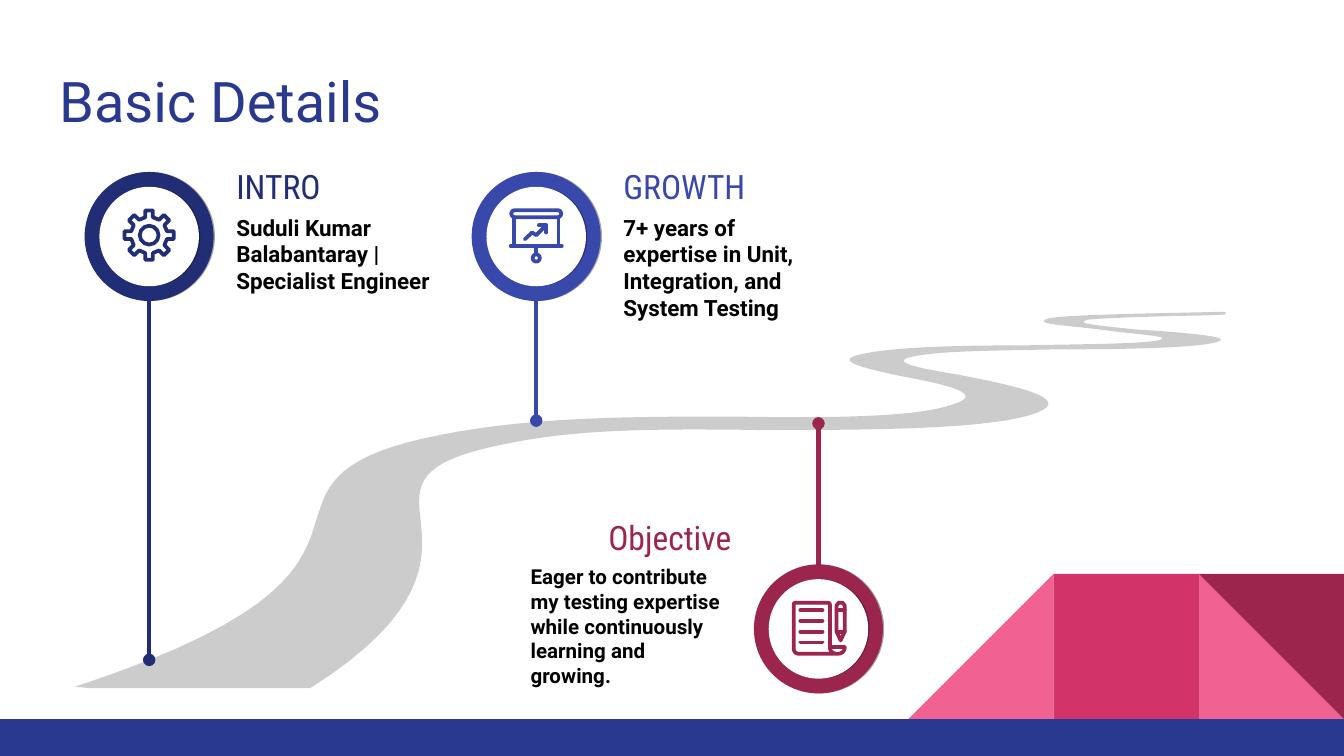
from collections import namedtuple
from math import cos, radians, sin

from lxml import etree
from pptx import Presentation
from pptx.dml.color import RGBColor
from pptx.enum.shapes import MSO_CONNECTOR, MSO_SHAPE
from pptx.enum.text import MSO_ANCHOR, PP_ALIGN
from pptx.oxml.ns import qn
from pptx.util import Inches, Pt

STRAIGHT = MSO_CONNECTOR.STRAIGHT
RECT, ROUND_RECT = MSO_SHAPE.RECTANGLE, MSO_SHAPE.ROUNDED_RECTANGLE
OVAL, TRIANGLE = MSO_SHAPE.OVAL, MSO_SHAPE.RIGHT_TRIANGLE
TOP, MIDDLE = MSO_ANCHOR.TOP, MSO_ANCHOR.MIDDLE
LEFT, RIGHT = PP_ALIGN.LEFT, PP_ALIGN.RIGHT

WHITE = RGBColor(0xFF, 0xFF, 0xFF)
BLACK = RGBColor(0x00, 0x00, 0x00)
GREY = RGBColor(0xCC, 0xCC, 0xCC)
BLUE = RGBColor(0x2A, 0x39, 0x90)
NAVY = RGBColor(0x21, 0x2D, 0x74)
INDIGO = RGBColor(0x39, 0x49, 0xAB)
WINE = RGBColor(0x9C, 0x25, 0x4D)
ROSE = RGBColor(0xD2, 0x33, 0x69)
PINK = RGBColor(0xF0, 0x62, 0x92)

COLUMNS, ROWS = 1000, 562.5
CELL = Inches(10) / COLUMNS
RING, RIM, STROKE = 96, 11, 2
Box = namedtuple("Box", "left top width height")

ROAD = [
    (753, 6), (759, 5, 788, 4, 822, 3), (828, 3, 841, 3, 856, 2), (856, 0),
    (817, 1, 735, 2, 724, 5), (712, 9, 735, 10, 761, 13),
    (788, 17, 817, 18, 807, 21), (796, 24, 753, 24, 707, 25),
    (662, 25, 612, 26, 588, 31), (560, 36, 587, 42, 615, 48),
    (647, 54, 679, 61, 653, 69), (624, 79, 560, 79, 488, 78),
    (418, 78, 342, 78, 275, 91), (195, 106, 188, 128, 180, 153),
    (170, 187, 158, 227, 0, 279), (10, 280), (175, 280),
    (264, 224, 260, 182, 257, 155), (254, 129, 253, 112, 317, 99),
    (372, 87, 433, 87, 508, 88), (588, 88, 683, 88, 716, 75),
    (744, 64, 694, 54, 658, 47), (627, 42, 603, 37, 625, 33),
    (646, 29, 683, 29, 730, 28), (780, 28, 839, 27, 851, 22),
    (861, 18, 818, 15, 787, 13), (760, 10, 744, 9, 753, 6),
]
SHEET = [
    (8.5, 13.5), (8.5, -17.5), (8.5, -19, 8, -19.5, 6.5, -19.5), (-16.5, -19.5),
    (-18, -19.5, -18.5, -19, -18.5, -17.5), (-18.5, 14),
    (-18.5, 17, -17, 18.5, -14, 18.5), (14, 18.5),
    (17, 18.5, 19.5, 17, 19.5, 13.5), (8.5, 13.5), (8.5, 16, 10, 18.5, 14, 18.5),
]
PENCIL = [(13.5, -17.5), (15, -19.5), (18, -19.5), (19.5, -17.5), (19.5, 2),
          (16.5, 8.5), (13.5, 2), (13.5, -17.5)]


def to_emu(*cells):
    """Turn grid cells into slide lengths."""
    return [round(cell * CELL) for cell in cells]


def style_line(shape, color, width):
    """Give a shape or connector a round-ended line."""
    shape.line.color.rgb = color
    shape.line.width = Pt(width)
    line = shape.element.spPr.find(qn("a:ln"))
    line.set("cap", "rnd")
    etree.SubElement(line, qn("a:round"))
    return line


def paint(shape, fill, stroke):
    """Make a shape flat, either filled or only outlined."""
    shape.shadow.inherit = False
    if fill is None:
        shape.fill.background()
        style_line(shape, stroke, STROKE)
    else:
        shape.fill.solid()
        shape.fill.fore_color.rgb = fill
        shape.line.fill.background()
    return shape


def add_preset(page, kind, box, fill=None, stroke=None):
    """Place a preset shape on the grid."""
    return paint(page.shapes.add_shape(kind, *to_emu(*box)), fill, stroke)


def add_line(page, start, end, color, width=STROKE):
    """Draw a straight line without shadow and return its line element."""
    line = page.shapes.add_connector(STRAIGHT, *to_emu(*start, *end))
    element = style_line(line, color, width)
    etree.SubElement(line.element.spPr, qn("a:effectLst"))
    return element


def trace(segments, steps=16):
    """Turn points and cubic curves into a list of points."""
    points = [segments[0]]
    for segment in segments[1:]:
        if len(segment) == 2:
            points.append(segment)
            continue
        curve = [points[-1], segment[:2], segment[2:4], segment[4:]]
        for step in range(1, steps + 1):
            t = step / steps
            weights = ((1 - t) ** 3, 3 * t * (1 - t) ** 2, 3 * t * t * (1 - t), t ** 3)
            points.append(tuple(sum(weight * point[axis] for weight, point in zip(weights, curve))
                                for axis in (0, 1)))
    return points


def add_outline(page, origin, segments, fill=None, stroke=None, close=False):
    """Draw a freeform measured from an origin on the grid."""
    points = [to_emu(origin[0] + x, origin[1] + y) for x, y in trace(segments)]
    builder = page.shapes.build_freeform(*points[0], scale=1)
    builder.add_line_segments(points[1:], close=close)
    paint(builder.convert_to_shape(), fill, stroke)


def fill_text(shape, text, size, font, color, bold=False, align=LEFT, anchor=TOP, spacing=1.0):
    """Write one paragraph and set its format."""
    frame = shape.text_frame
    margins = dict.fromkeys(("margin_left", "margin_top", "margin_right", "margin_bottom"), Inches(0.1))
    para = frame.paragraphs[0]
    span = para.add_run()
    span.text = text
    span.font.color.rgb = color
    formats = [
        (frame, {"word_wrap": True, "vertical_anchor": anchor, **margins}),
        (para, {"alignment": align, "line_spacing": spacing}),
        (span.font, {"name": font, "size": Pt(size), "bold": bold}),
    ]
    for target, values in formats:
        for name, value in values.items():
            setattr(target, name, value)


def add_title(page, box, text):
    """Move and format the title placeholder."""
    title = page.shapes.title
    title.left, title.top, title.width, title.height = to_emu(*box)
    fill_text(title, text, 30, "Roboto", BLUE, anchor=MIDDLE, spacing=0.9)


def add_decoration(page, box):
    """Draw the folded paper corner above the footer band."""
    side = box.width / 3
    tiles = [Box(box.left + side * column, box.top, side, side) for column in range(3)]
    add_preset(page, TRIANGLE, tiles[2], PINK)
    add_preset(page, TRIANGLE, tiles[0], PINK).element.spPr.xfrm.set("flipH", "1")
    add_preset(page, RECT, tiles[1], ROSE)
    add_preset(page, TRIANGLE, tiles[2], WINE).rotation = 180
    bottom = box.top + side
    add_preset(page, RECT, Box(0, bottom, COLUMNS, ROWS - bottom), BLUE)


def draw_gear(page, x, y, color):
    """Draw a gear with eight teeth round a point."""
    tooth = ((13.6, -12), (18.6, -8.7), (18.6, 8.7), (13.6, 12))
    points = [(radius * cos(radians(45 * turn + angle)), radius * sin(radians(45 * turn + angle)))
              for turn in range(8) for radius, angle in tooth]
    add_outline(page, (x, y - 1), points, stroke=color, close=True)
    add_preset(page, OVAL, Box(x - 7, y - 8, 14, 14), stroke=color)


def draw_board(page, x, y, color):
    """Draw a presentation board with a rising arrow round a point."""
    bar = add_preset(page, ROUND_RECT, Box(x - 18.6, y - 19.6, 37.2, 5.2), stroke=color)
    bar.adjustments[0] = 0.5
    for x1, y1, x2, y2 in ((-16.5, -14, -16.5, 7), (16.5, -14, 16.5, 7), (-19, 7, 19, 7), (0, 7, 0, 13)):
        add_line(page, (x + x1, y + y1), (x + x2, y + y2), color)
    add_preset(page, OVAL, Box(x - 2.7, y + 13.3, 5.4, 5.4), stroke=color)
    for points in ([(-8.5, 2), (-3, -3), (0, -1), (7.5, -8.5)], [(2, -8.5), (7.5, -8.5), (7.5, -3)]):
        add_outline(page, (x, y), points, stroke=color)


def draw_scroll(page, x, y, color):
    """Draw a written sheet and a pencil round a point."""
    for segments in (SHEET, PENCIL):
        add_outline(page, (x, y), segments, stroke=color)
    for row in range(4):
        level = y - 14 + 8 * row
        add_line(page, (x - 13.5, level), (x + 3, level), color)
    for level in (-14, 2):
        add_line(page, (x + 13.5, y + level), (x + 19.5, y + level), color)


def add_disc(page, box, color):
    """Place a disc with a thin sideways shadow."""
    effects = add_preset(page, OVAL, box, color).element.spPr.find(qn("a:effectLst"))
    shadow = etree.SubElement(effects, qn("a:outerShdw"), dist=str(Pt(0.7)), dir="0")
    shade = etree.SubElement(shadow, qn("a:srgbClr"), val=str(BLACK))
    etree.SubElement(shade, qn("a:alpha"), val="34000")


def add_milestone(page, ring, label, road_row, color, icon, heading, body, size, align):
    """Draw a ringed icon, its stem to the road and its text."""
    x, y = ring.left + RING / 2, ring.top + RING / 2
    inner = RING / 2 - RIM
    start = y + inner if road_row > y else y - inner
    stem = add_line(page, (x, start), (x, road_row), color, 2.25)
    etree.SubElement(stem, qn("a:tailEnd"), type="oval")
    add_disc(page, ring, color)
    add_disc(page, Box(x - inner, y - inner, 2 * inner, 2 * inner), WHITE)
    icon(page, x, y, color)
    text_box = page.shapes.add_textbox(*to_emu(label.left, label.top + 27, label.width - 2, label.height - 27))
    fill_text(text_box, body, size, "Roboto", BLACK, bold=True)
    heading_box = page.shapes.add_textbox(*to_emu(label.left, label.top, label.width, 33))
    fill_text(heading_box, heading, 18, "Roboto Condensed", color, align=align, anchor=MIDDLE)


def main():
    """Build the slide and save the deck."""
    deck = Presentation()
    deck.slide_width, deck.slide_height = to_emu(COLUMNS, ROWS)
    page = deck.slides.add_slide(deck.slide_layouts[5])
    add_decoration(page, Box(676, 427, 324, 108))
    add_title(page, Box(34, 45, 932, 66), "Basic Details")
    add_outline(page, (56, 232), ROAD, fill=GREY, close=True)
    milestones = [
        (63, 128, 166, 122, 174, 491, NAVY, draw_gear, "INTRO",
         "Suduli Kumar Balabantaray | Specialist Engineer", 12, LEFT),
        (351, 128, 454, 122, 131, 313, INDIGO, draw_board, "GROWTH",
         "7+ years of expertise in Unit, Integration, and System Testing", 12, LEFT),
        (561, 420, 385, 383, 139, 315, WINE, draw_scroll, "Objective",
         "Eager to contribute my testing expertise while continuously learning and growing.", 11, RIGHT),
    ]
    for left, top, label_left, label_top, height, *details in milestones:
        add_milestone(page, Box(left, top, RING, RING), Box(label_left, label_top, 169, height), *details)
    deck.save("out.pptx")


if __name__ == "__main__":
    main()
